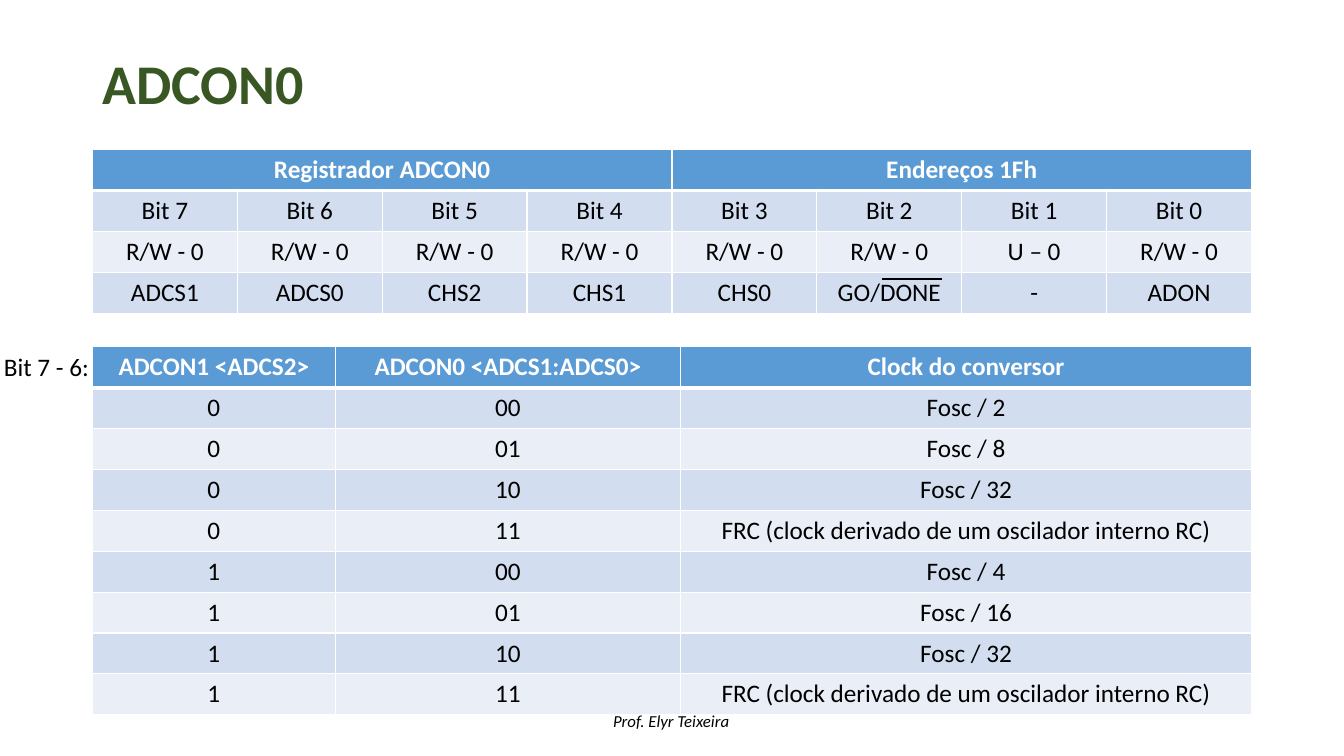
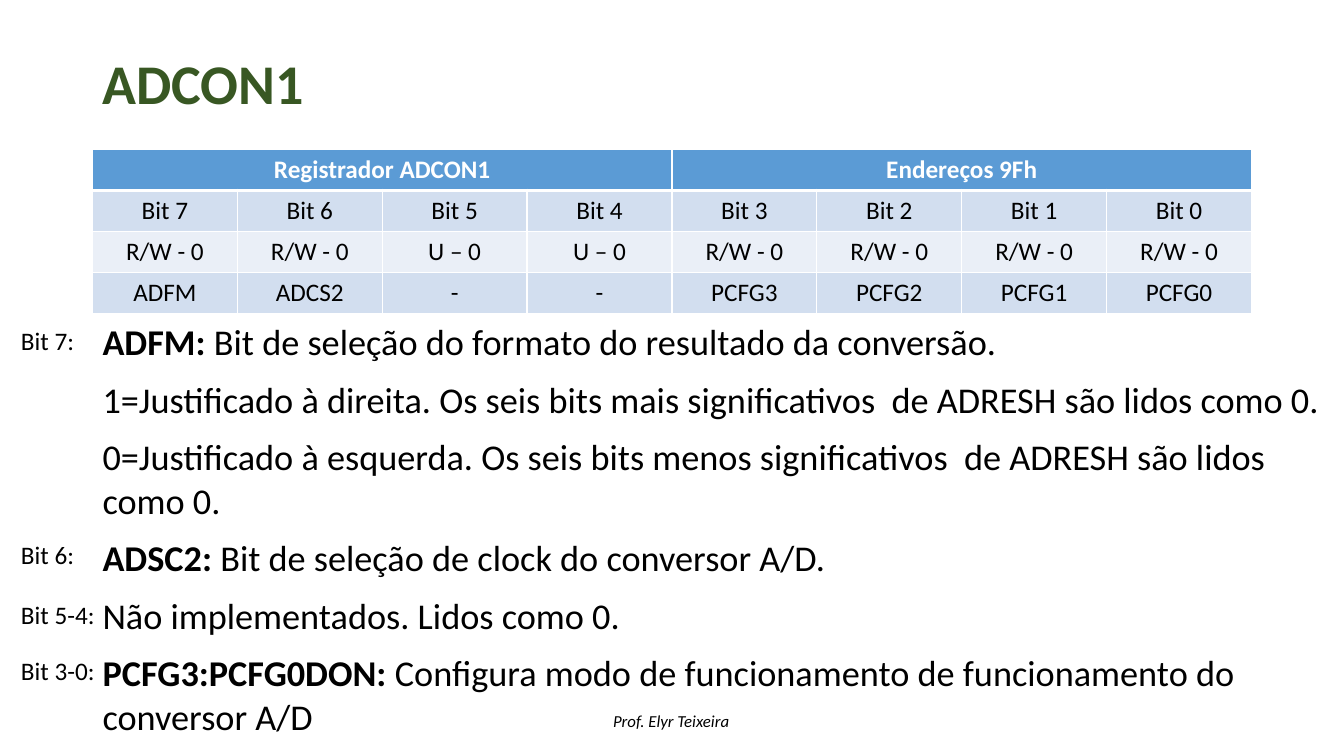
from lxml.etree import SubElement
from pptx import Presentation
from pptx.dml.color import RGBColor
from pptx.enum.shapes import MSO_CONNECTOR
from pptx.enum.text import MSO_ANCHOR, MSO_AUTO_SIZE, PP_ALIGN
from pptx.oxml.ns import qn
from pptx.util import Cm, Pt

COLORS = {
    "title": "385723",
    "header": "5B9BD5",
    "odd": "D2DEEF",
    "even": "EAEFF7",
    "white": "FFFFFF",
    "text": "000000",
}
FONT = "Calibri"
LEFT, WIDTH, ROW_HEIGHT = 2.33, 29.21, 1.03
REGISTER_TOP = 3.77


def add_label(page, text, left, top, width, size=18, italic=False):
    box = page.shapes.add_textbox(Cm(left), Cm(top), Cm(width), Cm(1))
    frame = box.text_frame
    frame.word_wrap = False
    frame.margin_left = frame.margin_right = 0
    frame.text = text
    font = frame.paragraphs[0].font
    font.name, font.size, font.italic = FONT, Pt(size), italic
    font.color.rgb = RGBColor.from_string(COLORS["text"])
    return box


def add_grid(page, top, column_widths, rows):
    table = page.shapes.add_table(
        len(rows), len(column_widths), Cm(LEFT), Cm(top),
        Cm(sum(column_widths)), Cm(ROW_HEIGHT * len(rows))).table
    for column, width in zip(table.columns, column_widths):
        column.width = Cm(width)
    for row_index, texts in enumerate(rows):
        table.rows[row_index].height = Cm(ROW_HEIGHT)
        is_header = row_index == 0
        fill = "header" if is_header else "odd" if row_index % 2 else "even"
        for column_index, text in enumerate(texts):
            cell = table.cell(row_index, column_index)
            cell.text = text
            paragraph = cell.text_frame.paragraphs[0]
            paragraph.alignment = PP_ALIGN.CENTER
            font = paragraph.font
            font.name, font.size, font.bold = FONT, Pt(18), is_header
            font.color.rgb = RGBColor.from_string(COLORS["white" if is_header else "text"])
            properties = cell._tc.get_or_add_tcPr()
            for side in ("lnL", "lnR", "lnT", "lnB"):
                thick = (side, row_index) in (("lnB", 0), ("lnT", 1))
                border = SubElement(properties, qn(f"a:{side}"), w=str(Pt(3 if thick else 1)))
                solid = SubElement(border, qn("a:solidFill"))
                SubElement(solid, qn("a:srgbClr"), val=COLORS["white"])
            cell.fill.solid()
            cell.fill.fore_color.rgb = RGBColor.from_string(COLORS[fill])
    return table


deck = Presentation()
deck.slide_width, deck.slide_height = Cm(33.87), Cm(19.05)
master = deck.slide_master

registers = [
    ("ADCON0", "1Fh", 5,
     ["R/W - 0"] * 6 + ["U – 0", "R/W - 0"],
     ["ADCS1", "ADCS0", "CHS2", "CHS1", "CHS0", "GO/DONE", "-", "ADON"]),
    ("ADCON1", "9Fh", 1,
     ["R/W - 0"] * 2 + ["U – 0"] * 2 + ["R/W - 0"] * 4,
     ["ADFM", "ADCS2", "-", "-", "PCFG3", "PCFG2", "PCFG1", "PCFG0"]),
]
pages = []
for name, address, layout_index, access, bits in registers:
    page = deck.slides.add_slide(deck.slide_layouts[layout_index])
    pages.append(page)
    title = page.shapes.title
    title.left, title.top, title.width, title.height = Cm(LEFT), Cm(0.58), Cm(WIDTH), Cm(3.2)
    title.text_frame.text = name
    title.text_frame.vertical_anchor = MSO_ANCHOR.MIDDLE
    paragraph = title.text_frame.paragraphs[0]
    paragraph.alignment = PP_ALIGN.LEFT
    paragraph.line_spacing = 0.9
    font = paragraph.font
    font.name, font.size, font.bold = FONT, Pt(40), True
    font.color.rgb = RGBColor.from_string(COLORS["title"])

    header = [f"Registrador {name}", "", "", "", f"Endereços {address}", "", "", ""]
    bit_names = [f"Bit {number}" for number in range(7, -1, -1)]
    table = add_grid(page, REGISTER_TOP, [WIDTH / 8] * 8, [header, bit_names, access, bits])
    for first in (0, 4):
        table.cell(0, first).merge(table.cell(0, first + 3))

clock_page, format_page = pages

footer = add_label(clock_page, "Prof. Elyr Teixeira", 15.45, 17.78, 3.2, 12, True)
master.element.cSld.spTree.append(footer.element)

clocks = [
    ("0", "00", "Fosc / 2"),
    ("0", "01", "Fosc / 8"),
    ("0", "10", "Fosc / 32"),
    ("0", "11", "FRC (clock derivado de um oscilador interno RC)"),
    ("1", "00", "Fosc / 4"),
    ("1", "01", "Fosc / 16"),
    ("1", "10", "Fosc / 32"),
    ("1", "11", "FRC (clock derivado de um oscilador interno RC)"),
]
clock_header = ("ADCON1 <ADCS2>", "ADCON0 <ADCS1:ADCS0>", "Clock do conversor")
add_grid(clock_page, 8.74, [6.12, 8.7, 14.39], [clock_header] + clocks)
add_label(clock_page, "Bit 7 - 6:", 0.1, 8.74, 2.4)

overline = clock_page.shapes.add_connector(
    MSO_CONNECTOR.STRAIGHT, Cm(22.23), Cm(7.02), Cm(23.75), Cm(7.02))
overline.line.color.rgb = RGBColor.from_string(COLORS["text"])
overline.line.width = Pt(1.5)
SubElement(overline.element.spPr, qn("a:effectLst"))

descriptions = [
    ("ADFM:", " Bit de seleção do formato do resultado da conversão."),
    ("", "1=Justificado à direita. Os seis bits mais significativos  de ADRESH são lidos como 0."),
    ("", "0=Justificado à esquerda. Os seis bits menos significativos  de ADRESH são lidos como 0."),
    ("ADSC2:", " Bit de seleção de clock do conversor A/D."),
    ("", "Não implementados. Lidos como 0."),
    ("PCFG3:PCFG0DON:", " Configura modo de funcionamento de funcionamento do conversor A/D"),
]
body = format_page.placeholders[1]
body.left, body.top, body.width, body.height = Cm(LEFT), Cm(7.92), Cm(31.54), Cm(11.13)
frame = body.text_frame
frame.auto_size = MSO_AUTO_SIZE.NONE
for index, (term, text) in enumerate(descriptions):
    paragraph = frame.add_paragraph() if index else frame.paragraphs[0]
    properties = paragraph._p.get_or_add_pPr()
    properties.set("marL", "0")
    properties.set("indent", "0")
    SubElement(properties, qn("a:buNone"))
    paragraph.space_before = Pt(10 if index else 0)
    paragraph.line_spacing = 1.0
    paragraph.font.name, paragraph.font.size = FONT, Pt(25.9)
    paragraph.font.color.rgb = RGBColor.from_string(COLORS["text"])
    if term:
        span = paragraph.add_run()
        span.text = term
        span.font.bold = True
    paragraph.add_run().text = text

for text, top in (("Bit 7:", 8.08), ("Bit 6:", 13.46), ("Bit 5-4:", 14.99), ("Bit 3-0:", 16.38)):
    add_label(format_page, text, 0.53, top, 2)

deck.save("out.pptx")
